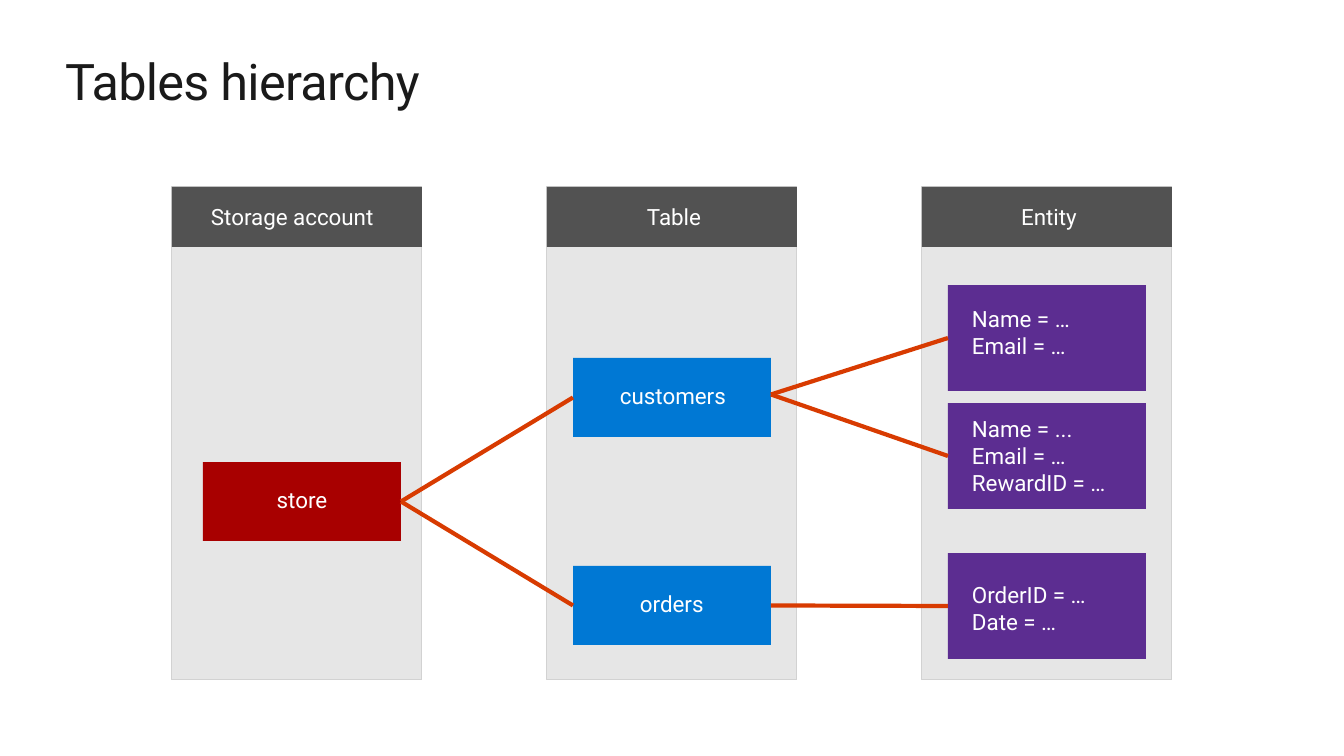
from lxml import etree
from pptx import Presentation
from pptx.dml.color import RGBColor
from pptx.enum.shapes import MSO_CONNECTOR, MSO_SHAPE
from pptx.enum.text import MSO_ANCHOR, PP_ALIGN
from pptx.oxml.ns import qn
from pptx.util import Pt

RECT, LINE = MSO_SHAPE.RECTANGLE, MSO_CONNECTOR.STRAIGHT
LEFT, MID = PP_ALIGN.LEFT, PP_ALIGN.CENTER
TOP = MSO_ANCHOR.TOP

FONT = "Roboto"
COLORS = {"ink": "1A1A1A", "white": "FFFFFF", "panel": "E6E6E6",
          "edge": "D2D2D2", "head": "525252", "store": "A80000",
          "table": "0078D4", "entity": "5C2D91", "link": "D83B01"}
RIGHT_SITE, LEFT_SITE = 3, 1


def px(n):
    return round(n * 914400 / 100.8)


def rgb(name):
    return RGBColor.from_string(COLORS[name])


def write(shape, text, size=16, color="white", align=LEFT,
          inset=(0, 0, 0, 0), track=0):
    frame = shape.text_frame
    frame.word_wrap = True
    frame.vertical_anchor = TOP
    (frame.margin_left, frame.margin_top,
     frame.margin_right, frame.margin_bottom) = map(px, inset)
    frame.text = text
    for para in frame.paragraphs:
        para.alignment = align
        for run in para.runs:
            font = run.font
            font.name, font.size = FONT, Pt(size)
            font.color.rgb = rgb(color)
            if track:
                font._element.set("spc", str(track))


def box(slide, left, top, width, height, fill, edge=None):
    shape = slide.shapes.add_shape(RECT, *map(px, (left, top, width, height)))
    shape.shadow.inherit = False
    shape.fill.solid()
    shape.fill.fore_color.rgb = rgb(fill)
    if edge:
        shape.line.color.rgb = rgb(edge)
        shape.line.width = Pt(0.75)
    else:
        shape.line.fill.background()
    return shape


def column(slide, left, text, align, indent):
    box(slide, left, 187, 250, 493, "panel", edge="edge")
    head = box(slide, left, 187, 250, 60, "head")
    write(head, text, align=align, inset=(indent, 16, 20, 16))


def node(slide, left, top, height, fill, text, align, inset):
    shape = box(slide, left, top, 198, height, fill)
    write(shape, text, align=align, inset=inset)
    return shape


def link(slide, start, end, lift=0):
    line = slide.shapes.add_connector(LINE, 0, 0, 0, 0)
    line.begin_connect(start, RIGHT_SITE)
    line.end_connect(end, LEFT_SITE)
    line.begin_y -= px(lift)
    line.line.color.rgb = rgb("link")
    line.line.width = Pt(3)
    etree.SubElement(line._element.spPr, qn("a:effectLst"))


def main():
    deck = Presentation()
    deck.slide_width, deck.slide_height = px(1344), px(756)
    slide = deck.slides.add_slide(deck.slide_layouts[5])

    # Title
    title = slide.shapes.title
    title.left, title.top, title.width, title.height = map(
        px, (65, 50, 1215, 62))
    write(title, "Tables hierarchy", size=36, color="ink", track=-50)

    # Columns
    heads = [("Storage account", LEFT, 39), ("Table", MID, 24),
             ("Entity", MID, 24)]
    for i, (text, align, indent) in enumerate(heads):
        column(slide, 172 + i * 375, text, align, indent)

    # Account and tables
    store = node(slide, 203, 462, 79, "store", "store", MID, (20, 24, 20, 16))
    buyers, orders = [
        node(slide, 573, top, 79, "table", text, LEFT, (indent, 24, 20, 16))
        for top, text, indent in [(358, "customers", 47), (566, "orders", 67)]]

    # Entities
    rows = [(285, 20, "Name = …\nEmail = …"),
            (403, 12, "Name = ...\nEmail = …\nRewardID = …"),
            (553, 28, "OrderID = …\nDate = …")]
    basic, reward, dated = [
        node(slide, 948, top, 106, "entity", text, LEFT, (24, pad, 20, 0))
        for top, pad, text in rows]

    # Links
    for start, end, lift in [(store, buyers, 0), (store, orders, 0),
                             (buyers, basic, 3), (buyers, reward, 3),
                             (orders, dated, 0)]:
        link(slide, start, end, lift)

    deck.save("out.pptx")


main()
